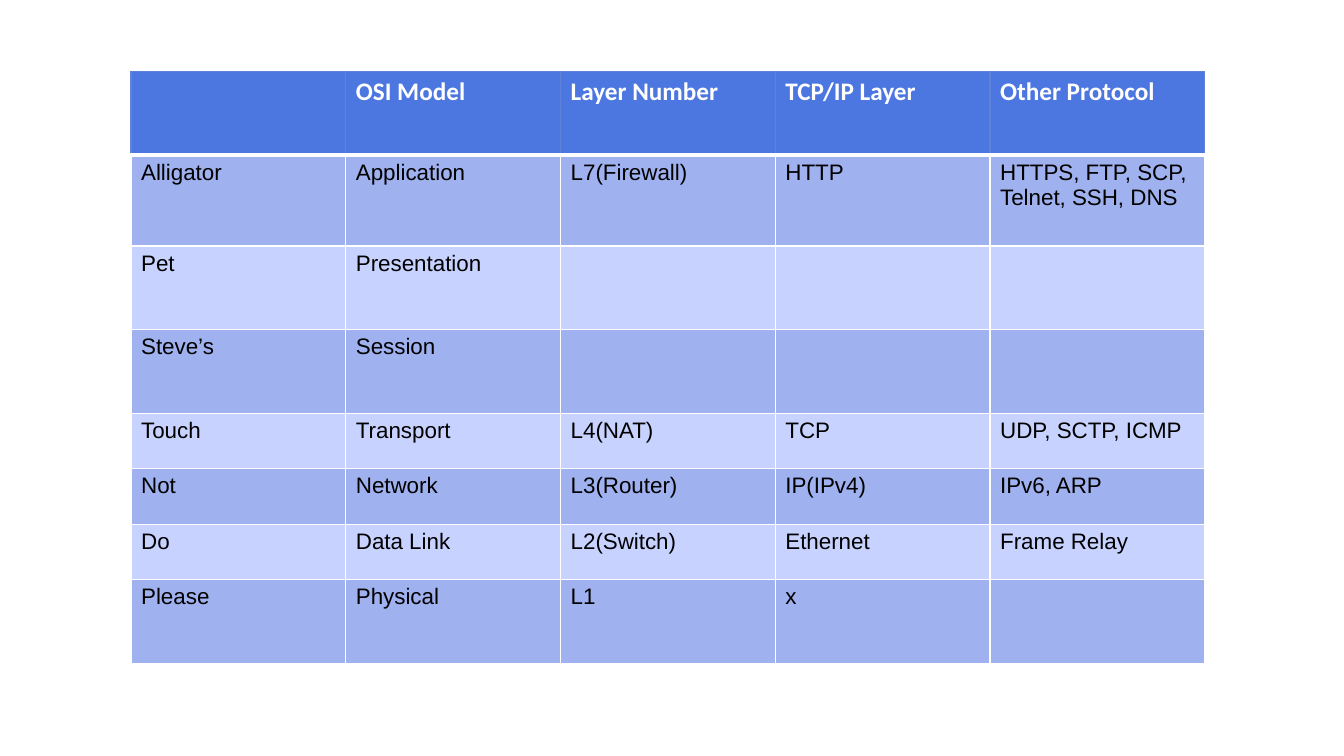
from dataclasses import dataclass

from lxml import etree
from pptx import Presentation
from pptx.dml.color import RGBColor
from pptx.oxml.ns import qn
from pptx.util import Inches, Pt

HUES = {
    "head": "4D77E0",
    "edge": "5E81D9",
    "dark": "9FB1EE",
    "light": "C8D2FF",
    "white": "FFFFFF",
    "black": "000000",
}
LEFT, TOP = 1.3, 0.71
WIDTH = 2.13


@dataclass
class Row:
    height: float
    texts: tuple[str, ...]


@dataclass
class Style:
    font: str
    size: int
    bold: bool
    ink: str
    fills: tuple[str, ...]


ROWS = [
    Row(0.83, ("", "OSI Model", "Layer Number", "TCP/IP Layer", "Other Protocol")),
    Row(0.9, ("Alligator", "Application", "L7(Firewall)", "HTTP",
              "HTTPS, FTP, SCP, Telnet, SSH, DNS")),
    Row(0.83, ("Pet", "Presentation", "", "", "")),
    Row(0.83, ("Steve’s", "Session", "", "", "")),
    Row(0.55, ("Touch", "Transport", "L4(NAT)", "TCP", "UDP, SCTP, ICMP")),
    Row(0.55, ("Not", "Network", "L3(Router)", "IP(IPv4)", "IPv6, ARP")),
    Row(0.55, ("Do", "Data Link", "L2(Switch)", "Ethernet", "Frame Relay")),
    Row(0.83, ("Please", "Physical", "L1", "x", "")),
]
HEAD = Style("Calibri", 18, True, "white", ("head",))
BODY = Style("Arial", 16, False, "black", ("light", "dark"))


def color(name: str) -> RGBColor:
    return RGBColor.from_string(HUES[name])


def border(cell, sides: dict[str, tuple[str, float]]) -> None:
    # Border lines must come before the fill in the cell properties
    props = cell._tc.get_or_add_tcPr()
    for spot, (side, (hue, width)) in enumerate(sides.items()):
        line = etree.Element(qn(f"a:ln{side}"), w=str(Pt(width)))
        fill = etree.SubElement(line, qn("a:solidFill"))
        etree.SubElement(fill, qn("a:srgbClr"), val=HUES[hue])
        props.insert(spot, line)


def write(cell, text: str, style: Style, band: int) -> None:
    cell.fill.solid()
    cell.fill.fore_color.rgb = color(style.fills[band % len(style.fills)])
    if text:
        run = cell.text_frame.paragraphs[0].add_run()
        run.text = text
        run.font.name = style.font
        run.font.size = Pt(style.size)
        run.font.bold = style.bold
        run.font.color.rgb = color(style.ink)


def build(slide, rows: list[Row]) -> None:
    count = len(rows[0].texts)
    frame = slide.shapes.add_table(
        len(rows), count, Inches(LEFT), Inches(TOP),
        Inches(WIDTH * count), Inches(sum(row.height for row in rows)))
    table = frame.table
    for col in table.columns:
        col.width = Inches(WIDTH)

    for i, row in enumerate(rows):
        table.rows[i].height = Inches(row.height)
        style = BODY if i else HEAD
        rim = ("white" if i else "edge", 1)
        above = ("white", 3) if i == 1 else rim
        below = ("white", 1 if i else 3)
        for j, text in enumerate(row.texts):
            cell = table.cell(i, j)
            write(cell, text, style, i)
            border(cell, {"L": rim, "R": rim, "T": above, "B": below})


def main() -> None:
    deck = Presentation()
    deck.slide_width = Inches(13.33)
    deck.slide_height = Inches(7.5)
    slide = deck.slides.add_slide(deck.slide_layouts[6])

    # Table of network layers
    build(slide, ROWS)
    deck.save("out.pptx")


if __name__ == "__main__":
    main()
